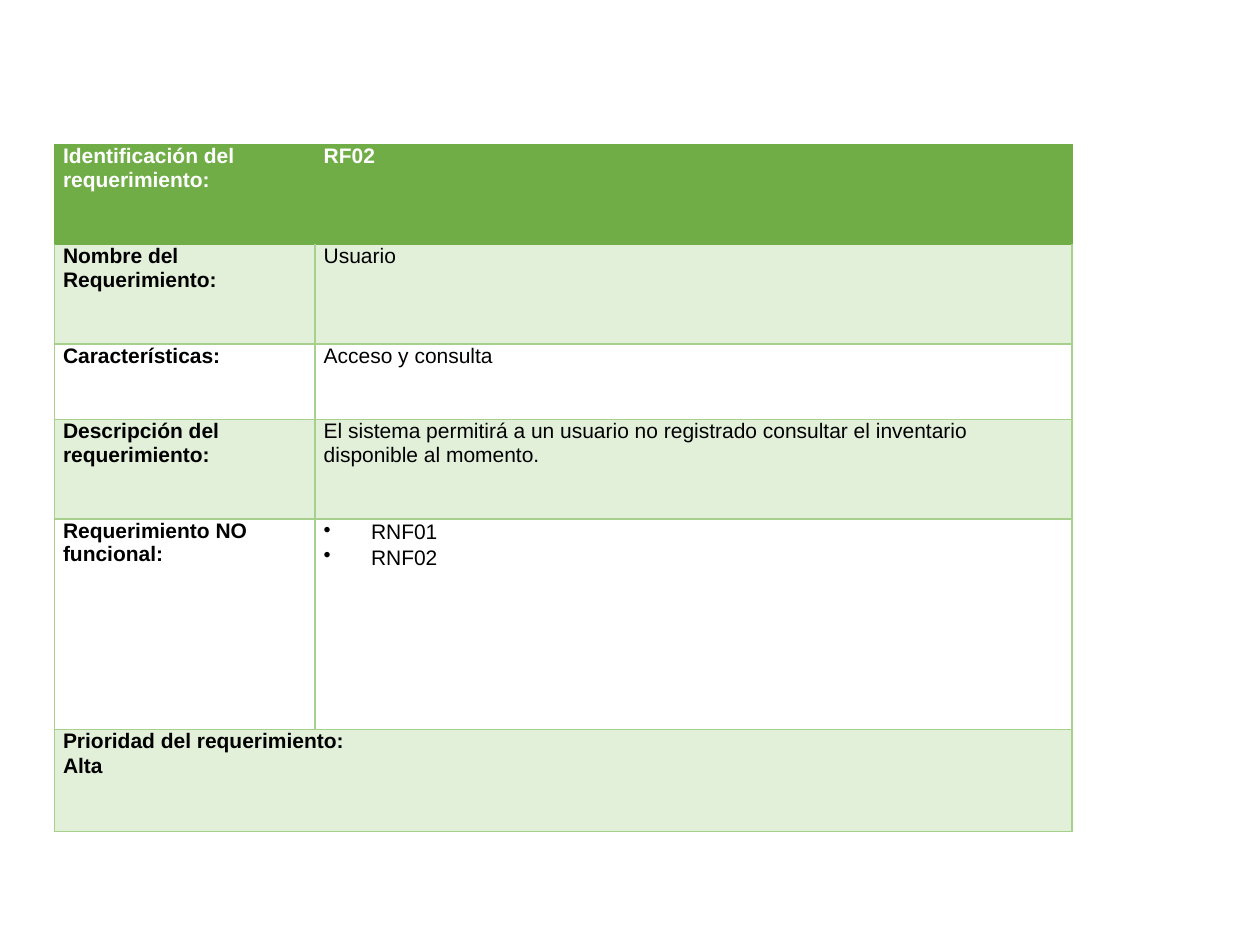
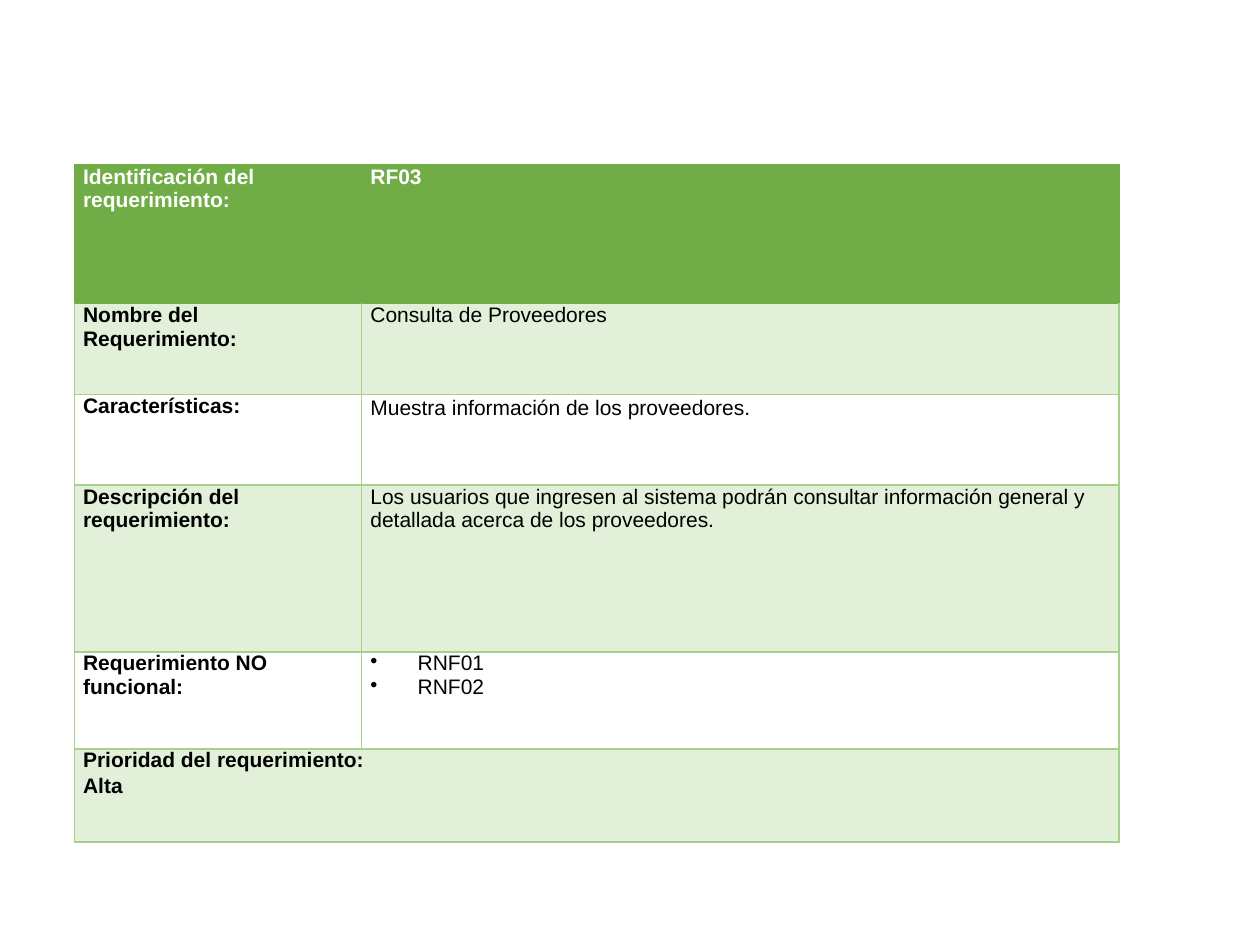
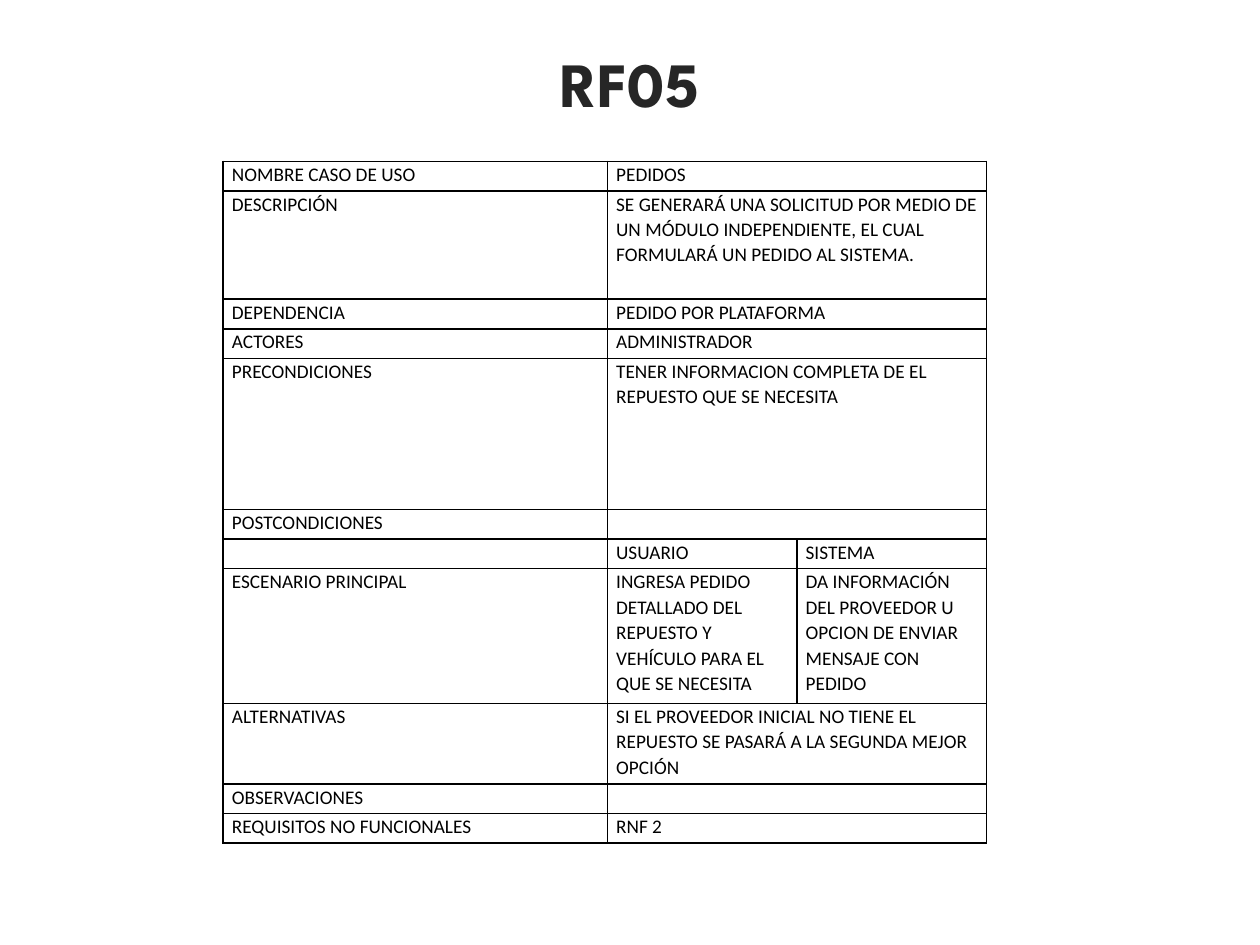
from dataclasses import dataclass
from typing import Optional

from lxml import etree
from pptx import Presentation
from pptx import util as u
from pptx.dml.color import RGBColor
from pptx.enum import text as t
from pptx.oxml.ns import qn

# Shared look
WHITE, BLACK, TITLE_COLOR = "FFFFFF", "000000", "262626"
GREEN, PALE_GREEN, BORDER_GREEN = "70AD47", "E2EFD9", "A8D08D"
LOOSE = 1.07
CELL_MARGIN = 5
BULLET_INDENT = 27
SIDES = ("L", "R", "T", "B")


@dataclass
class Requirement:
    """A requirement card: place, column widths, row heights and wording."""
    left: float
    top: float
    columns: list[float]
    rows: list[float]
    code: str
    name: str
    features: str
    description: str
    non_functional: list[str]
    features_spacing: Optional[float] = None
    list_spacing: Optional[float] = None


@dataclass
class UseCaseRow:
    height: float
    label: str
    values: tuple[str, ...]


REQUIREMENTS = [
    Requirement(
        31, 82.8, [149, 432.7], [56.9, 56.9, 43.2, 56.9, 120.2, 58.3],
        "RF02", "Usuario", "Acceso y consulta",
        "El sistema permitirá a un usuario no registrado consultar el "
        "inventario disponible al momento.",
        ["RNF01", "RNF02"], list_spacing=LOOSE),
    Requirement(
        42.5, 94.3, [164.2, 432.7], [79.2, 51.8, 51.8, 95.4, 55.4, 53.3],
        "RF03", "Consulta de Proveedores",
        "Muestra información de los proveedores.",
        "Los usuarios que ingresen al sistema podrán consultar información "
        "general y detallada acerca de los proveedores.",
        ["RNF01", "RNF02"], features_spacing=LOOSE),
]

LOW_ROW = 16.9
USE_CASE_COLUMNS = [219.6, 108.3, 108.3]
USE_CASE = [
    UseCaseRow(LOW_ROW, "NOMBRE CASO DE USO", ("PEDIDOS",)),
    UseCaseRow(61.9, "DESCRIPCIÓN", (
        "SE GENERARÁ UNA SOLICITUD POR MEDIO DE UN MÓDULO INDEPENDIENTE, "
        "EL CUAL FORMULARÁ UN PEDIDO AL SISTEMA.",)),
    UseCaseRow(LOW_ROW, "DEPENDENCIA", ("PEDIDO POR PLATAFORMA",)),
    UseCaseRow(LOW_ROW, "ACTORES", ("ADMINISTRADOR",)),
    UseCaseRow(86.4, "PRECONDICIONES", (
        "TENER INFORMACION COMPLETA DE EL REPUESTO QUE SE NECESITA",)),
    UseCaseRow(LOW_ROW, "POSTCONDICIONES", ("",)),
    UseCaseRow(LOW_ROW, "", ("USUARIO", "SISTEMA")),
    UseCaseRow(77, "ESCENARIO PRINCIPAL", (
        "INGRESA PEDIDO DETALLADO DEL REPUESTO Y VEHÍCULO PARA EL QUE SE "
        "NECESITA",
        "DA INFORMACIÓN DEL PROVEEDOR U OPCION DE ENVIAR MENSAJE CON PEDIDO")),
    UseCaseRow(46.1, "ALTERNATIVAS", (
        "SI EL PROVEEDOR INICIAL NO TIENE EL REPUESTO SE PASARÁ A LA SEGUNDA "
        "MEJOR OPCIÓN",)),
    UseCaseRow(LOW_ROW, "OBSERVACIONES", ("",)),
    UseCaseRow(LOW_ROW, "REQUISITOS NO FUNCIONALES", ("RNF 2",)),
]


def rgb(color: str) -> RGBColor:
    return RGBColor.from_string(color)


def add_line(parent, tag: str, color: Optional[str], width: float):
    """Add an outline element; no colour means no line."""
    line = etree.SubElement(parent, qn(tag), w=str(u.Pt(width)))
    if color is None:
        etree.SubElement(line, qn("a:noFill"))
    else:
        fill = etree.SubElement(line, qn("a:solidFill"))
        etree.SubElement(fill, qn("a:srgbClr"), val=color)
    return line


def write(frame, text: str, *, size: float = 12, font: str = "Arial",
          color: str = BLACK, bold: bool = False, align=None,
          spacing: Optional[float] = None, bullet: bool = False):
    """Write one paragraph, in the first one while it is still empty."""
    paragraph = frame.paragraphs[0]
    if paragraph.runs:
        paragraph = frame.add_paragraph()
    paragraph.alignment = align
    paragraph.line_spacing = spacing
    if bullet:
        properties = paragraph._p.get_or_add_pPr()
        properties.set("marL", str(u.Pt(BULLET_INDENT)))
        properties.set("indent", str(-u.Pt(BULLET_INDENT)))
        etree.SubElement(properties, qn("a:buChar"), char="•")
    if not text:
        # The end mark keeps an empty cell as low as its row
        etree.SubElement(paragraph._p, qn("a:endParaRPr"), sz=str(size * 100))
        return None
    run = paragraph.add_run()
    run.text = text
    run.font.size = u.Pt(size)
    run.font.name = font
    run.font.bold = bold
    run.font.color.rgb = rgb(color)
    return run


def add_grid(slide, left: float, top: float, columns: list[float],
             rows: list[float]):
    table = slide.shapes.add_table(
        len(rows), len(columns), u.Pt(left), u.Pt(top),
        u.Pt(sum(columns)), u.Pt(sum(rows))).table
    table.first_row = table.horz_banding = False
    for column, width in zip(table.columns, columns):
        column.width = u.Pt(width)
    for row, height in zip(table.rows, rows):
        row.height = u.Pt(height)
    return table


def style_cell(cell, border: str, fill: Optional[str] = None,
               **special: Optional[str]) -> None:
    """Set margins, fill and borders; special gives single sides a colour."""
    cell.margin_left = cell.margin_right = u.Pt(CELL_MARGIN)
    cell.margin_top = cell.margin_bottom = 0
    if fill:
        cell.fill.solid()
        cell.fill.fore_color.rgb = rgb(fill)
    else:
        cell.fill.background()
    properties = cell._tc.get_or_add_tcPr()
    for position, side in enumerate(SIDES):
        line = add_line(properties, f"a:ln{side}", special.get(side, border), 1)
        properties.insert(position, line)


def draw_requirement(slide, card: Requirement) -> None:
    table = add_grid(slide, card.left, card.top, card.columns, card.rows)
    last = len(card.rows) - 1

    # Header row, then pale and plain rows in turn
    style_cell(table.cell(0, 0), GREEN, GREEN, R=None)
    style_cell(table.cell(0, 1), GREEN, GREEN, L=None)
    for row in range(1, last + 1):
        fill = PALE_GREEN if row % 2 else None
        special = {"T": GREEN} if row == 1 else {}
        for column in range(2):
            style_cell(table.cell(row, column), BORDER_GREEN, fill, **special)
    table.cell(last, 0).merge(table.cell(last, 1))

    # Labels
    labels = ["Identificación del requerimiento:", "Nombre del Requerimiento:",
              "Características:", "Descripción del requerimiento:",
              "Requerimiento NO funcional:", "Prioridad del requerimiento:"]
    for row, label in enumerate(labels):
        write(table.cell(row, 0).text_frame, label, bold=True,
              color=BLACK if row else WHITE)
    write(table.cell(last, 0).text_frame, "Alta", bold=True, spacing=LOOSE)

    # Values
    write(table.cell(0, 1).text_frame, card.code, bold=True, color=WHITE)
    write(table.cell(1, 1).text_frame, card.name)
    write(table.cell(2, 1).text_frame, card.features,
          spacing=card.features_spacing,
          align=t.PP_ALIGN.JUSTIFY if card.features_spacing else None)
    write(table.cell(3, 1).text_frame, card.description)
    for item in card.non_functional:
        write(table.cell(4, 1).text_frame, item, bullet=True,
              spacing=card.list_spacing)


def draw_title(slide, title: str) -> None:
    box = slide.shapes.add_textbox(u.Pt(36), u.Pt(2), u.Pt(648), u.Pt(90))
    frame = box.text_frame
    frame.word_wrap = True
    frame.vertical_anchor = t.MSO_ANCHOR.MIDDLE
    run = write(frame, title, size=36, font="League Spartan", bold=True,
                color=TITLE_COLOR, align=t.PP_ALIGN.CENTER)
    properties = run.font._element
    properties.insert(0, add_line(properties, "a:ln", WHITE, 0.75))


def draw_use_case(slide, rows: list[UseCaseRow]) -> None:
    table = add_grid(slide, 127.5, 92.2, USE_CASE_COLUMNS,
                     [row.height for row in rows])
    for index, row in enumerate(rows):
        for column in range(len(USE_CASE_COLUMNS)):
            style_cell(table.cell(index, column), BLACK)
        if len(row.values) == 1:
            table.cell(index, 1).merge(table.cell(index, 2))
        for column, text in enumerate((row.label, *row.values)):
            write(table.cell(index, column).text_frame, text, size=11,
                  font="Calibri", spacing=LOOSE)


def main() -> None:
    presentation = Presentation()
    presentation.slide_width, presentation.slide_height = u.Pt(720), u.Pt(540)
    blank = presentation.slide_layouts[6]

    for card in REQUIREMENTS:
        draw_requirement(presentation.slides.add_slide(blank), card)

    slide = presentation.slides.add_slide(blank)
    draw_title(slide, "RF05")
    draw_use_case(slide, USE_CASE)

    presentation.save("out.pptx")


if __name__ == "__main__":
    main()
